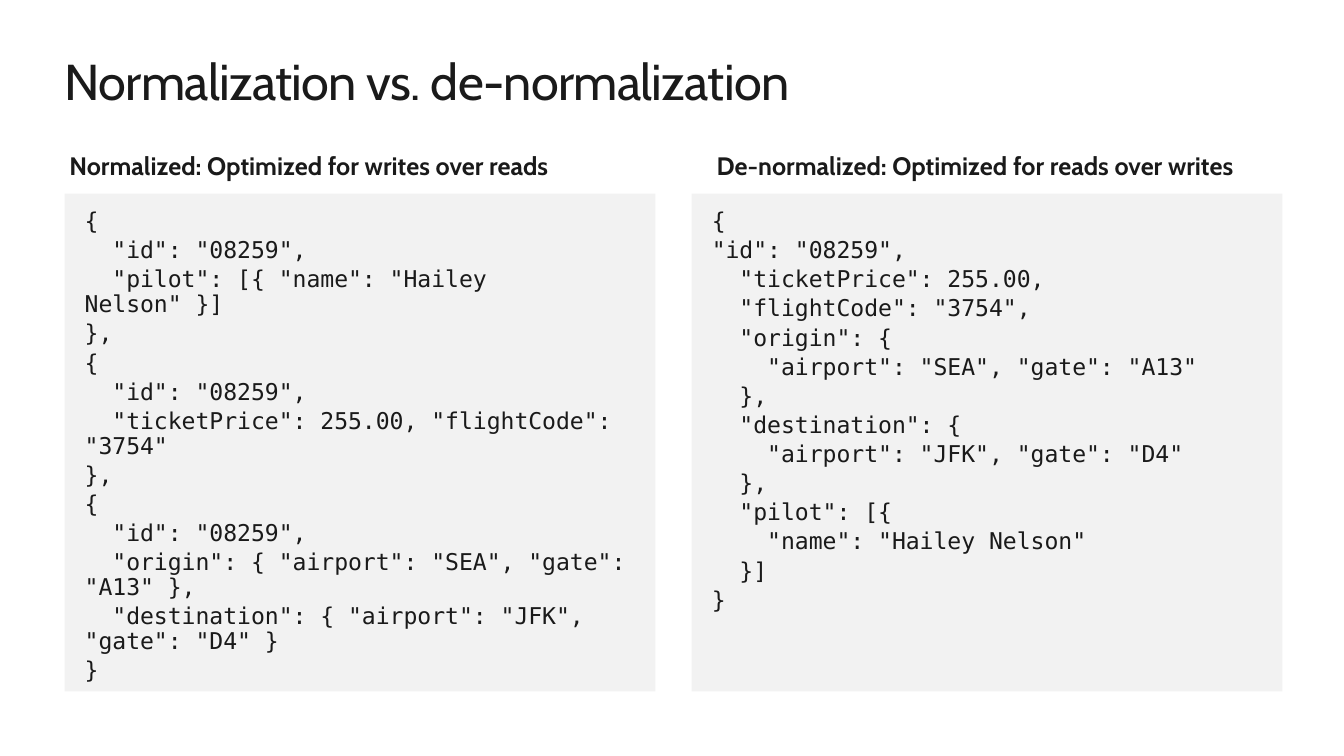
from dataclasses import dataclass

from pptx import Presentation
from pptx.dml.color import RGBColor
from pptx.enum.shapes import MSO_SHAPE as Shape
from pptx.enum.text import MSO_ANCHOR as Anchor, MSO_AUTO_SIZE as AutoSize, PP_ALIGN as Align
from pptx.util import Inches, Pt


@dataclass(frozen=True)
class Theme:
    ink: RGBColor = RGBColor(0x1A, 0x1A, 0x1A)
    panel: RGBColor = RGBColor(0xF2, 0xF2, 0xF2)
    text_font: str = "Cabin"
    code_font: str = "DejaVu Sans Mono"
    title_size: float = 36
    heading_size: float = 18
    code_size: float = 16.5


NORMALIZED = """{
  "id": "08259",
  "pilot": [{ "name": "Hailey Nelson" }]
},
{
  "id": "08259",
  "ticketPrice": 255.00, "flightCode": "3754"
},
{
  "id": "08259",
  "origin": { "airport": "SEA", "gate": "A13" },
  "destination": { "airport": "JFK", "gate": "D4" }
}"""

DENORMALIZED = """{
"id": "08259",
  "ticketPrice": 255.00,
  "flightCode": "3754",
  "origin": {
    "airport": "SEA", "gate": "A13"
  },
  "destination": {
    "airport": "JFK", "gate": "D4"
  },
  "pilot": [{
    "name": "Hailey Nelson"
  }]
}"""


class SlideBuilder:
    def __init__(self, slide, theme):
        self.slide = slide
        self.theme = theme

    def style(self, paragraph, font_name, size, bold=False):
        paragraph.alignment = Align.LEFT
        font = paragraph.font
        font.name, font.size, font.bold = font_name, Pt(size), bold
        font.color.rgb = self.theme.ink

    def set_frame(self, frame, anchor, side, edge):
        frame.word_wrap = True
        frame.auto_size = AutoSize.NONE
        frame.vertical_anchor = anchor
        frame.margin_left = frame.margin_right = Inches(side)
        frame.margin_top = frame.margin_bottom = Inches(edge)

    def title(self, text, left, top, width, height):
        title = self.slide.shapes.title
        title.left, title.top = Inches(left), Inches(top)
        title.width, title.height = Inches(width), Inches(height)
        self.set_frame(title.text_frame, Anchor.TOP, 0, 0)
        title.text_frame.text = text
        line = title.text_frame.paragraphs[0]
        self.style(line, self.theme.text_font, self.theme.title_size)
        # Slightly tightened letter spacing
        line.runs[0].font._element.set("spc", "-50")

    def heading(self, text, left, top, width, height):
        heading = self.slide.shapes.add_textbox(
            Inches(left), Inches(top), Inches(width), Inches(height))
        frame = heading.text_frame
        self.set_frame(frame, Anchor.TOP, 0.1, 0.05)
        frame.text = text
        self.style(frame.paragraphs[0], self.theme.text_font,
                   self.theme.heading_size, bold=True)

    def code_panel(self, code, left, top, width, height):
        panel = self.slide.shapes.add_shape(
            Shape.RECTANGLE, Inches(left), Inches(top), Inches(width), Inches(height))
        panel.shadow.inherit = False
        panel.fill.solid()
        panel.fill.fore_color.rgb = self.theme.panel
        panel.line.fill.background()
        frame = panel.text_frame
        self.set_frame(frame, Anchor.TOP, 0.2, 0.16)
        frame.text = code
        for line in frame.paragraphs:
            self.style(line, self.theme.code_font, self.theme.code_size)
            line.line_spacing = 0.9
            line.space_after = Pt(3)


def main():
    deck = Presentation()
    deck.slide_width, deck.slide_height = Inches(13.33), Inches(7.5)
    title_only = deck.slide_layouts[5]
    builder = SlideBuilder(deck.slides.add_slide(title_only), Theme())

    # Title
    builder.title("Normalization vs. de-normalization", 0.64, 0.5, 12.05, 0.61)

    # Two columns: heading above its code panel
    columns = [
        ("Normalized: Optimized for writes over reads", 0.59, 5.94, NORMALIZED, 0.64),
        ("De-normalized: Optimized for reads over writes", 7.01, 5.84, DENORMALIZED, 6.86),
    ]
    for heading, heading_left, heading_width, code, panel_left in columns:
        builder.heading(heading, heading_left, 1.44, heading_width, 0.4)
        builder.code_panel(code, panel_left, 1.92, 5.86, 4.94)

    deck.save("out.pptx")


if __name__ == "__main__":
    main()
